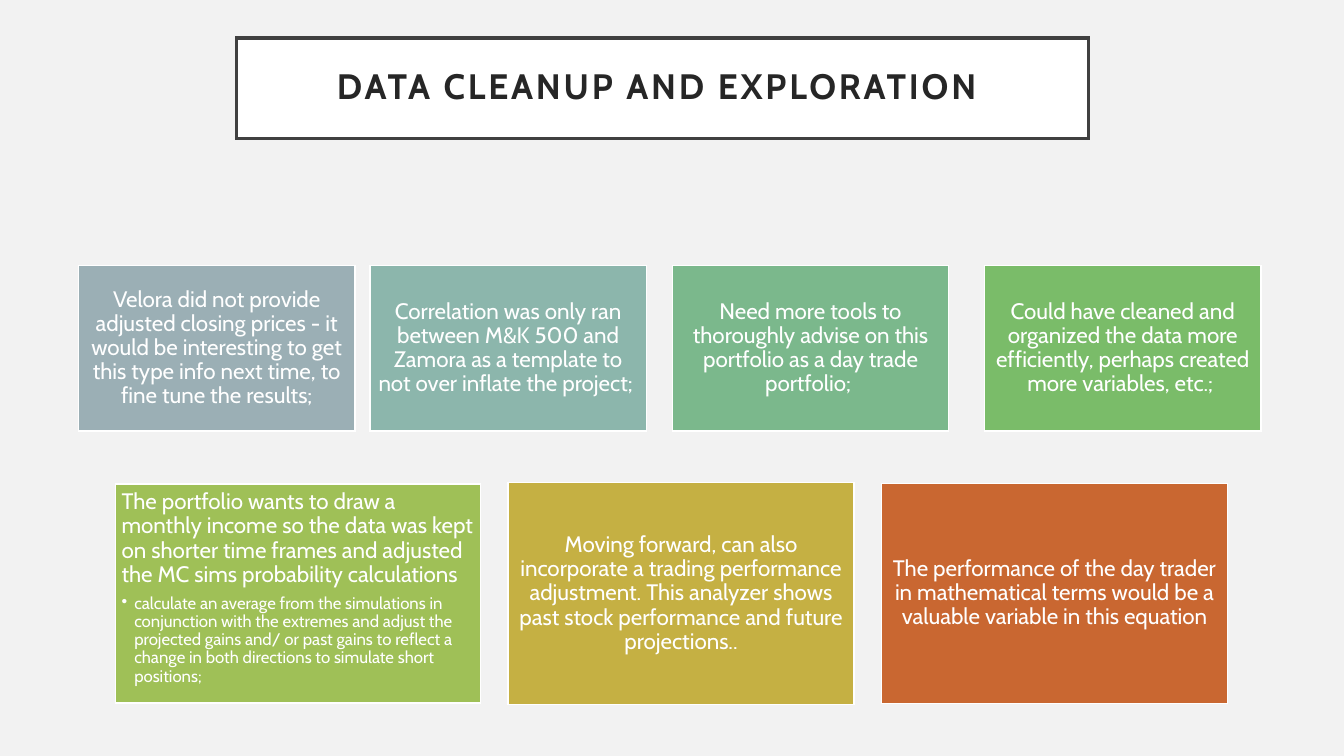
import pptx
import pptx.dml.color
import pptx.enum.shapes
import pptx.enum.text
import pptx.oxml
import pptx.oxml.ns
import pptx.util

Pt = pptx.util.Pt
PP_ALIGN = pptx.enum.text.PP_ALIGN
ANCHOR = pptx.enum.text.MSO_ANCHOR

COLORS = {
    "background": "F2F2F2", "white": "FFFFFF", "title": "262626", "frame": "404040",
    "slate": "9BAFB5", "teal": "8CB6AC", "mint": "7BB88C", "green": "7ABC69",
    "lime": "9FC057", "gold": "C5B043", "rust": "C96731",
}


class Deck:
    """Holds the style and the current slide."""
    font = "Cabin"
    body_size = 16
    detail_size = 12

    def __init__(self, slide):
        self.slide = slide
        background = slide.background.fill
        background.solid()
        background.fore_color.rgb = self.color("background")

    def color(self, name):
        return pptx.dml.color.RGBColor.from_string(COLORS[name])

    def element(self, tag, attributes):
        return pptx.oxml.parse_xml(
            "<a:%s %s %s/>" % (tag, pptx.oxml.ns.nsdecls("a"), attributes))

    def box(self, left, top, width, height, fill, line, line_width, inset):
        box = self.slide.shapes.add_shape(
            pptx.enum.shapes.MSO_SHAPE.RECTANGLE,
            Pt(left), Pt(top), Pt(width), Pt(height))
        box.shadow.inherit = False
        box.fill.solid()
        box.fill.fore_color.rgb = self.color(fill)
        box.line.color.rgb = self.color(line)
        box.line.width = Pt(line_width)
        # Square corners on the outline
        box.line._get_or_add_ln().append(self.element("miter", 'lim="800000"'))
        frame = box.text_frame
        frame.word_wrap = True
        frame.vertical_anchor = ANCHOR.MIDDLE
        frame.margin_left = frame.margin_right = Pt(inset)
        frame.margin_top = frame.margin_bottom = Pt(inset)
        return frame

    def format(self, paragraph, size, color="white", align=PP_ALIGN.CENTER, after=0):
        paragraph.alignment = align
        paragraph.line_spacing = 0.9
        paragraph.space_after = Pt(after)
        for run in paragraph.runs:
            run.font.name = self.font
            run.font.size = Pt(size)
            run.font.color.rgb = self.color(color)

    def title(self, text, left, top, width, height):
        frame = self.box(left, top, width, height, "white", "frame", 2.5, 14.4)
        frame.text = text
        heading = frame.paragraphs[0]
        self.format(heading, 25.2, "title")
        heading.runs[0].font.bold = True
        heading.runs[0].font._element.set("spc", "200")

    def card(self, text, fill, left, top, width, height, detail=None):
        frame = self.box(left, top, width, height, fill, "white", 1, 4.5)
        frame.text = text
        align = PP_ALIGN.LEFT if detail else PP_ALIGN.CENTER
        self.format(frame.paragraphs[0], self.body_size, align=align, after=5.6)
        if detail:
            frame.vertical_anchor = ANCHOR.TOP
            self.bullet(frame, detail)

    def bullet(self, frame, text):
        item = frame.add_paragraph()
        item.text = text
        item.level = 1
        self.format(item, self.detail_size, align=PP_ALIGN.LEFT, after=1.8)
        properties = item._p.get_or_add_pPr()
        properties.set("marL", str(Pt(9)))
        properties.set("indent", str(-Pt(9)))
        properties.append(self.element("buChar", 'char="\u2022"'))


presentation = pptx.Presentation()
presentation.slide_width = Pt(960)
presentation.slide_height = Pt(540)
deck = Deck(presentation.slides.add_slide(presentation.slide_layouts[6]))

# Title
deck.title("DATA CLEANUP AND EXPLORATION ", 168.8, 27, 608.8, 72)

# Upper row: four cards of one size
findings = [
    (56.2, "slate", "Velora did not provide adjusted closing prices - it would be "
     "interesting to get this type info next time, to fine tune the results;"),
    (264.4, "teal", "Correlation was only ran between M&K 500 and Zamora as a "
     "template to not over inflate the project; "),
    (480.4, "mint", "Need more tools to thoroughly advise on this portfolio as a "
     "day trade portfolio; "),
    (703.4, "green", "Could have cleaned and organized the data more efficiently, "
     "perhaps created more variables, etc.; "),
]
for left, fill, text in findings:
    deck.card(text, fill, left, 189.6, 197.3, 118.4)

# Lower row: income card with a detail, then the outlook cards
deck.card(
    "The portfolio wants to draw a monthly income so the data was kept on shorter "
    "time frames and adjusted the MC sims probability calculations",
    "lime", 82.4, 345.8, 261, 156.4,
    detail="calculate an average from the simulations in conjunction with the extremes "
           "and adjust the projected gains and/ or past gains to reflect a change in "
           "both directions to simulate short positions;")
deck.card(
    "Moving forward, can also incorporate a trading performance adjustment. This "
    "analyzer shows past stock performance and future projections..",
    "gold", 363, 344.8, 247, 158.6)
deck.card(
    "The performance of the day trader in mathematical terms would be a valuable "
    "variable in this equation",
    "rust", 629.8, 345.4, 247, 157)

presentation.save("out.pptx")
